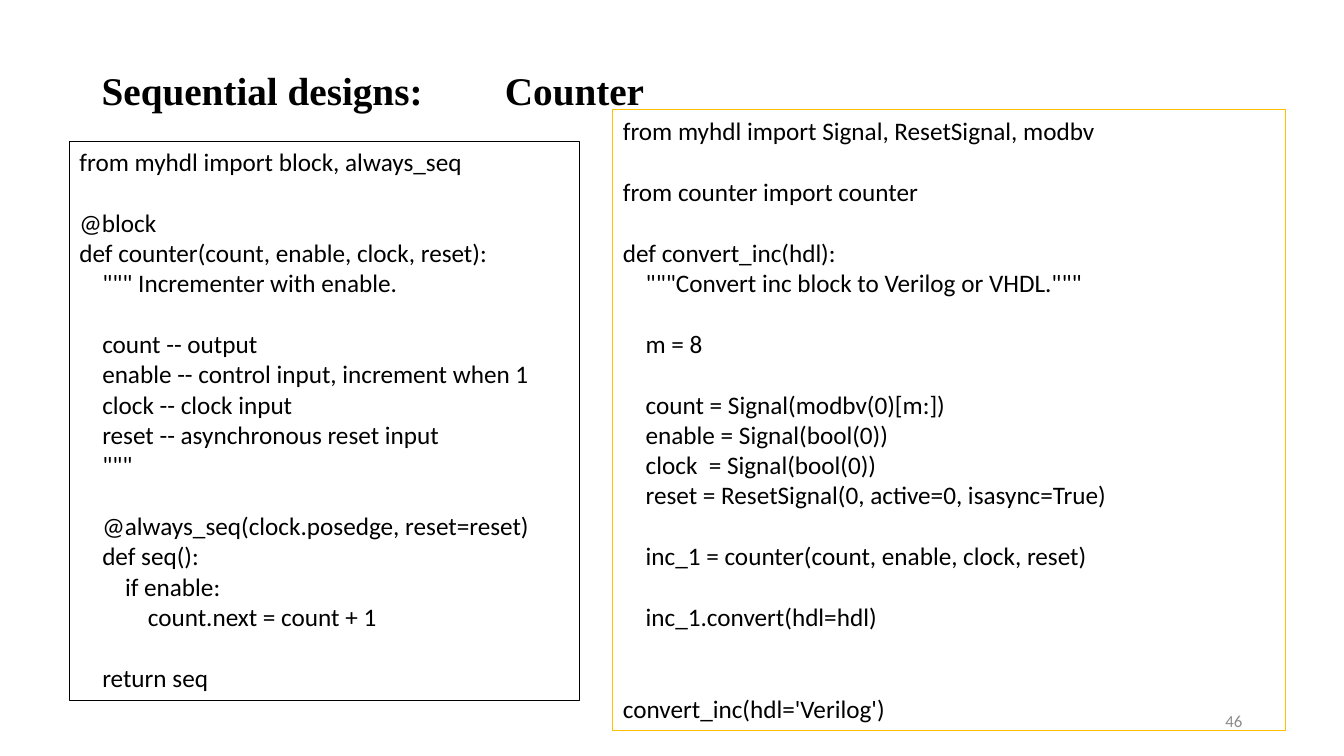
from pptx import Presentation
from pptx.dml.color import RGBColor
from pptx.enum.shapes import MSO_SHAPE as Shape
from pptx.enum.text import MSO_ANCHOR as Anchor, MSO_AUTO_SIZE as Fit, PP_ALIGN as Align
from pptx.util import Inches, Pt

BLACK = RGBColor(0x00, 0x00, 0x00)
GOLD = RGBColor(0xFF, 0xC0, 0x00)
GRAY = RGBColor(0x8C, 0x8C, 0x8C)
LINE = 21.97  # height of one code line, in points
STEP = 0.226  # width of one code indent, in inches

BLOCK = '''from myhdl import block, always_seq

@block
def counter(count, enable, clock, reset):
    """ Incrementer with enable.

    count -- output
    enable -- control input, increment when 1
    clock -- clock input
    reset -- asynchronous reset input
    """

    @always_seq(clock.posedge, reset=reset)
    def seq():
        if enable:
            count.next = count + 1

    return seq'''

CONVERT = '''from myhdl import Signal, ResetSignal, modbv

from counter import counter

def convert_inc(hdl):
    """Convert inc block to Verilog or VHDL."""

    m = 8

    count = Signal(modbv(0)[m:])
    enable = Signal(bool(0))
    clock  = Signal(bool(0))
    reset = ResetSignal(0, active=0, isasync=True)

    inc_1 = counter(count, enable, clock, reset)

    inc_1.convert(hdl=hdl)


convert_inc(hdl='Verilog')'''


def write(para, text, size=18, font="Calibri", color=BLACK, bold=False,
          align=Align.LEFT, gap=0, indent=0):
    para.alignment = align
    para.space_before = Pt(gap)
    props = para._p.get_or_add_pPr()
    props.set("marL", str(Inches(indent)))
    props.set("indent", "0")
    run = para.add_run()
    run.text = text
    run.font.size, run.font.name = Pt(size), font
    run.font.bold, run.font.color.rgb = bold, color


def add_label(slide, box, text, anchor=Anchor.TOP, **style):
    frame = slide.shapes.add_textbox(*map(Inches, box)).text_frame
    frame.word_wrap = True
    frame.vertical_anchor = anchor
    write(frame.paragraphs[0], text, **style)


def add_code(slide, box, code, color):
    panel = slide.shapes.add_shape(Shape.RECTANGLE, *map(Inches, box))
    panel.shadow.inherit = False
    panel.fill.background()
    panel.line.color.rgb = color
    panel.line.width = Pt(0.75)
    frame = panel.text_frame
    frame.word_wrap = True
    frame.auto_size = Fit.SHAPE_TO_FIT_TEXT
    frame.vertical_anchor = Anchor.TOP

    # Empty lines become spacing, leading spaces become indents
    blank, para = 0, frame.paragraphs[0]
    for line in code.splitlines():
        text = line.lstrip()
        if not text:
            blank += 1
            continue
        para = para or frame.add_paragraph()
        depth = (len(line) - len(text)) // 4
        write(para, text, gap=blank * LINE, indent=depth * STEP)
        blank, para = 0, None


def main():
    deck = Presentation()
    deck.slide_width, deck.slide_height = Inches(13.33), Inches(7.5)
    slide = deck.slides.add_slide(deck.slide_layouts[6])

    # Page number and title
    add_label(slide, (9.42, 6.95, 3, 0.4), "46", anchor=Anchor.MIDDLE,
              size=12, color=GRAY, align=Align.RIGHT)
    add_label(slide, (0.91, 0.61, 6.67, 0.57), "Sequential designs:\t\tCounter",
              size=28, font="Times New Roman", bold=True)

    # Code panels
    add_code(slide, (0.69, 1.4, 5.06, 5.55), BLOCK, BLACK)
    add_code(slide, (6.08, 1.09, 6.67, 6.16), CONVERT, GOLD)

    deck.save("out.pptx")


if __name__ == "__main__":
    main()
